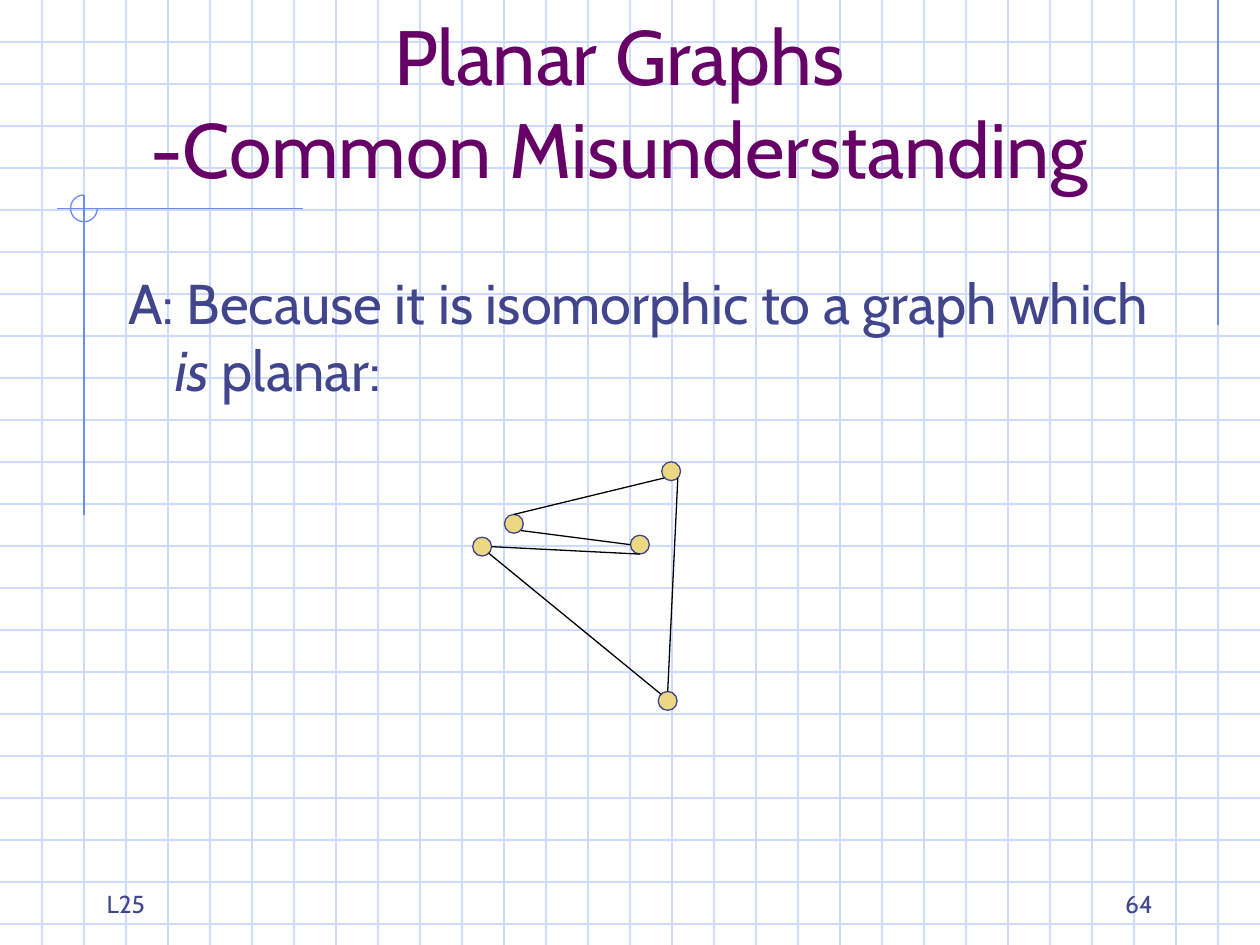
from math import cos, radians, sin

from pptx import Presentation
from pptx.dml.color import RGBColor
from pptx.enum.shapes import MSO_CONNECTOR, MSO_SHAPE
from pptx.enum.text import MSO_ANCHOR, MSO_AUTO_SIZE, PP_ALIGN
from pptx.oxml.ns import qn
from pptx.util import Cm, Pt

PAGE_WIDTH, PAGE_HEIGHT = 25.4, 19.05
GRID_STEP = PAGE_WIDTH / 30
NODE_SIZE = 0.38
FONT = "Cabin"
GRID, ACCENT, INK, PLUM, GOLD, BLACK = (
    "CFDBFD", "6F89F7", "40458C", "660066", "ECD882", "000000")


def color(hex_string):
    """Turn a hex string into a colour."""
    return RGBColor.from_string(hex_string)


def add_line(page, start, end, hue):
    """Draw a thin straight line between two points in centimetres."""
    line = page.shapes.add_connector(
        MSO_CONNECTOR.STRAIGHT, *(Cm(value) for value in (*start, *end)))
    line.line.color.rgb = color(hue)
    line.line.width = Pt(0.75)
    properties = line._element.spPr
    properties.append(properties.makeelement(qn("a:effectLst"), {}))


def add_outline(page, kind, box, hue, fill=None):
    """Draw a thinly outlined preset shape, filled only when asked."""
    shape = page.shapes.add_shape(kind, *(Cm(value) for value in box))
    shape.shadow.inherit = False
    shape.line.color.rgb = color(hue)
    shape.line.width = Pt(0.75)
    if fill:
        shape.fill.solid()
        shape.fill.fore_color.rgb = color(fill)
    else:
        shape.fill.background()
    return shape


def place(shape, box):
    """Move a shape to its box and in front of what is already drawn."""
    shape.left, shape.top, shape.width, shape.height = (Cm(value) for value in box)
    shape.element.getparent().append(shape.element)


def prepare_frame(shape, anchor, align):
    """Set wrapping and alignment, and return the first paragraph."""
    frame = shape.text_frame
    frame.word_wrap = True
    frame.auto_size = MSO_AUTO_SIZE.NONE
    frame.vertical_anchor = anchor
    para = frame.paragraphs[0]
    para.alignment = align
    para.space_before = Pt(0)
    return para


def add_span(para, text, size, hue, italic=False):
    """Add one formatted run."""
    span = para.add_run()
    span.text = text
    span.font.name = FONT
    span.font.size = Pt(size)
    span.font.italic = italic
    span.font.color.rgb = color(hue)


def draw_grid(page, box):
    """Rule the box like squared paper."""
    left, top, width, height = box
    for row in range(1, int(height / GRID_STEP) + 1):
        level = top + row * GRID_STEP
        add_line(page, (left, level), (left + width, level), GRID)
    for column in range(1, round(width / GRID_STEP)):
        across = left + column * GRID_STEP
        add_line(page, (across, top), (across, top + height), GRID)


def draw_ornament(page, box):
    """Draw the corner cross with its open circle and the right margin rule."""
    left, top, width, height = box
    axis, margin = left + 2 * GRID_STEP, left + width - GRID_STEP
    add_line(page, (margin, top), (margin, top + 6.55), ACCENT)
    add_line(page, (left + 6.1, top + 4.2), (left + 1.14, top + 4.2), ACCENT)
    add_line(page, (axis, top + 3.94), (axis, top + 10.39), ACCENT)
    circle = add_outline(page, MSO_SHAPE.ARC,
                         (axis - 0.27, top + 3.93, 0.54, 0.54), ACCENT)
    circle.adjustments[0] = 0
    circle.adjustments[1] = 162


def write_title(page, box):
    """Write the two-line heading."""
    title = page.shapes.title
    place(title, box)
    para = prepare_frame(title, MSO_ANCHOR.BOTTOM, PP_ALIGN.CENTER)
    add_span(para, "Planar Graphs", 44, PLUM)
    para.add_line_break()
    add_span(para, "-Common Misunderstanding", 44, PLUM)


def write_answer(page, box):
    """Write the answer with a hanging indent and no bullet."""
    body = page.placeholders[1]
    place(body, box)
    para = prepare_frame(body, MSO_ANCHOR.TOP, PP_ALIGN.LEFT)
    properties = para._p.get_or_add_pPr()
    properties.set("marL", str(Cm(0.95)))
    properties.set("indent", str(-Cm(0.95)))
    properties.append(properties.makeelement(qn("a:buNone"), {}))
    add_span(para, "A: Because it is isomorphic to a graph which ", 32, INK)
    add_span(para, "is", 32, INK, italic=True)
    add_span(para, " planar:", 32, INK)


def write_footer(page, box, text, align):
    """Write one footer label."""
    label = page.shapes.add_textbox(*(Cm(value) for value in box))
    add_span(prepare_frame(label, MSO_ANCHOR.BOTTOM, align), text, 14, INK)


def draw_graph(page, box):
    """Draw the five nodes and the edges running between their rims."""
    left, top = box[:2]
    nodes = {"left": (0, 1.52), "right": (3.18, 1.48), "upper": (0.64, 1.06),
             "bottom": (3.74, 4.63), "top": (3.81, 0)}
    edges = [("left", 0, "right", 90), ("upper", 45, "right", 180),
             ("bottom", 225, "left", 45), ("top", 135, "upper", 270),
             ("top", 45, "bottom", 270)]

    def rim(name, angle):
        """Find the rim point at a clockwise angle from the right."""
        across, down = nodes[name]
        radius = NODE_SIZE / 2
        return (left + across + radius * (1 + cos(radians(angle))),
                top + down + radius * (1 + sin(radians(angle))))

    for across, down in nodes.values():
        add_outline(page, MSO_SHAPE.OVAL,
                    (left + across, top + down, NODE_SIZE, NODE_SIZE), INK, GOLD)
    for start, start_angle, end, end_angle in edges:
        add_line(page, rim(start, start_angle), rim(end, end_angle), BLACK)


def main():
    """Build and save the slide."""
    deck = Presentation()
    deck.slide_width, deck.slide_height = Cm(PAGE_WIDTH), Cm(PAGE_HEIGHT)
    page = deck.slides.add_slide(deck.slide_layouts[1])
    page.background.fill.solid()
    page.background.fill.fore_color.rgb = color("FFFFFF")
    whole_page = (0, 0, PAGE_WIDTH, PAGE_HEIGHT)
    draw_grid(page, whole_page)
    draw_ornament(page, whole_page)
    write_footer(page, (1.9, 17.36, 5.29, 1.27), "L25", PP_ALIGN.LEFT)
    write_footer(page, (18.2, 17.36, 5.29, 1.27), "64", PP_ALIGN.RIGHT)
    write_title(page, (1.69, 0.85, 21.59, 3.18))
    write_answer(page, (2.33, 5.29, 21.59, 11.43))
    draw_graph(page, (9.53, 9.31, 4.19, 5.01))
    deck.save("out.pptx")


if __name__ == "__main__":
    main()
